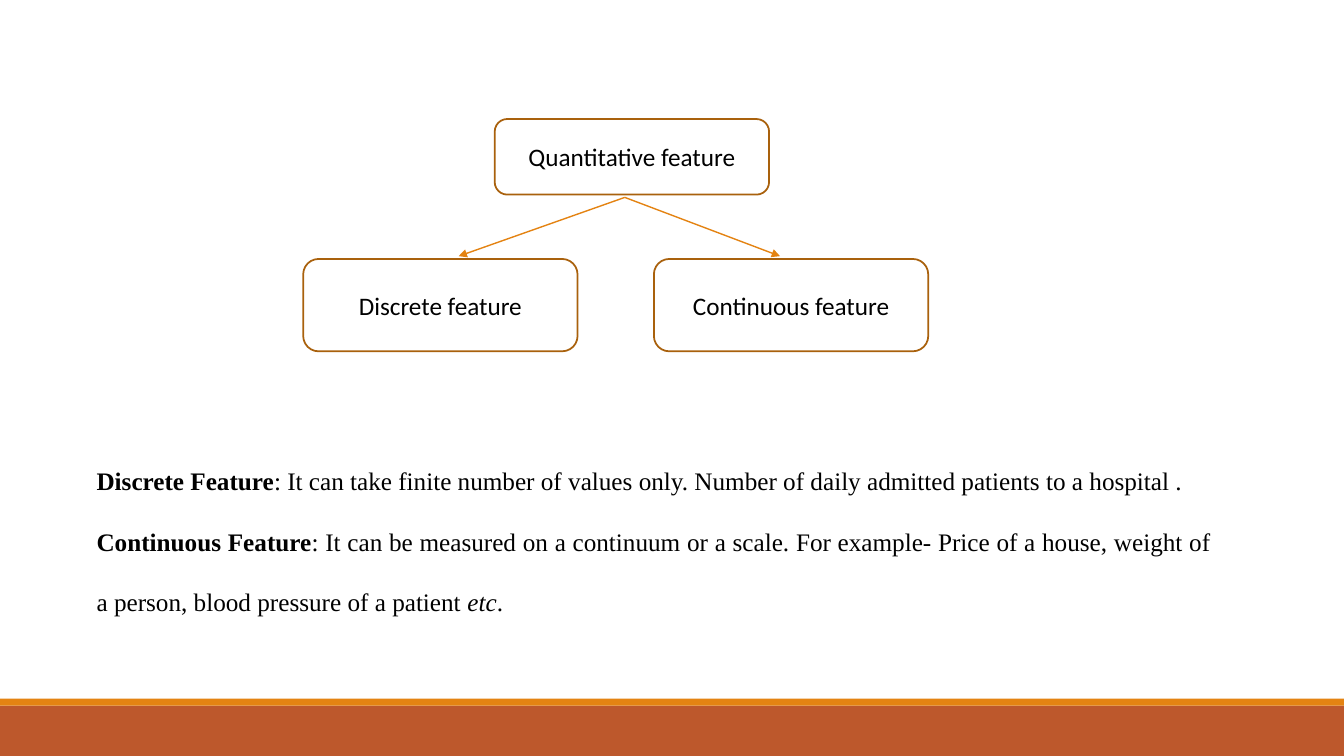
from pptx import Presentation
from pptx.dml.color import RGBColor
from pptx.enum import shapes as es, text as et
from pptx.oxml import parse_xml
from pptx.oxml.ns import nsdecls
from pptx.util import Pt

WIDE, HIGH = 960, 540
BLACK, ORANGE, BROWN, RUST = "000000", "E48312", "A9610D", "BD582C"


def color(code):
    return RGBColor.from_string(code)


def style(run, face, bold=False, slant=False):
    font = run.font
    font.name, font.size = face, Pt(18)
    font.bold, font.italic = bold, slant
    font.color.rgb = color(BLACK)


def band(slide, x, y, w, h):
    """Two footer stripes: a thin one above a thick one."""
    thin = 5
    for top, tall, tint in ((y + thin, h - thin, RUST), (y, thin, ORANGE)):
        bar = slide.shapes.add_shape(
            es.MSO_SHAPE.RECTANGLE, Pt(x), Pt(top), Pt(w), Pt(tall))
        bar.shadow.inherit = False
        bar.fill.solid()
        bar.fill.fore_color.rgb = color(tint)
        bar.line.fill.background()


def node(slide, label, x, y, w, h):
    box = slide.shapes.add_shape(
        es.MSO_SHAPE.ROUNDED_RECTANGLE, Pt(x), Pt(y), Pt(w), Pt(h))
    box.shadow.inherit = False
    box.fill.background()
    box.line.color.rgb = color(BROWN)
    box.line.width = Pt(1.25)
    frame = box.text_frame
    frame.text = label
    frame.vertical_anchor = et.MSO_ANCHOR.MIDDLE
    para = frame.paragraphs[0]
    para.alignment = et.PP_ALIGN.CENTER
    style(para.runs[0], "Calibri")


def arrow(slide, x1, y1, x2, y2):
    line = slide.shapes.add_connector(
        es.MSO_CONNECTOR.STRAIGHT, Pt(x1), Pt(y1), Pt(x2), Pt(y2))
    line.line.color.rgb = color(ORANGE)
    line.line.width = Pt(1)
    line.line._get_or_add_ln().append(
        parse_xml(f'<a:tailEnd {nsdecls("a")} type="triangle"/>'))
    line._element.spPr.append(parse_xml(f'<a:effectLst {nsdecls("a")}/>'))


def tree(slide, x, y, w, h):
    """Root box with an arrow to each of two child boxes."""
    wide, root, leaf, gap = 196, 54, 66, 2
    low = y + h - leaf
    node(slide, "Quantitative feature", x + 136.8, y, wide, root)
    node(slide, "Discrete feature", x, low, wide, leaf)
    node(slide, "Continuous feature", x + w - wide, low, wide, leaf)
    # The arrows stop just short of the boxes
    for tip in (340.6, 111):
        arrow(slide, x + 229.7, y + root + gap, x + tip, low - gap)


def notes(slide, x, y, w, h):
    """Definitions, as (text, bold, italic) runs."""
    items = (
        (("Discrete Feature", True, False),
         (": It can take finite number of values only. Number of daily "
          "admitted patients to a hospital .", False, False)),
        (("Continuous Feature", True, False),
         (": It can be measured on a continuum or a scale. For example- "
          "Price of a house, weight of a person, blood pressure of a "
          "patient ", False, False),
         ("etc", False, True),
         (".", False, False)),
    )
    frame = slide.shapes.add_textbox(Pt(x), Pt(y), Pt(w), Pt(h)).text_frame
    frame.word_wrap = True
    frame.auto_size = et.MSO_AUTO_SIZE.SHAPE_TO_FIT_TEXT
    for i, item in enumerate(items):
        para = frame.add_paragraph() if i else frame.paragraphs[0]
        para.alignment = et.PP_ALIGN.JUSTIFY
        para.line_spacing = 2.0
        for words, bold, slant in item:
            run = para.add_run()
            run.text = words
            style(run, "Times New Roman", bold, slant)


def main():
    deck = Presentation()
    deck.slide_width, deck.slide_height = Pt(WIDE), Pt(HIGH)
    slide = deck.slides.add_slide(deck.slide_layouts[6])
    band(slide, 0, HIGH - 41, WIDE, 41)
    tree(slide, 216.6, 85, 446.5, 166)
    notes(slide, 61.9, 307.4, 810.7, 138.2)
    deck.save("out.pptx")


if __name__ == "__main__":
    main()
